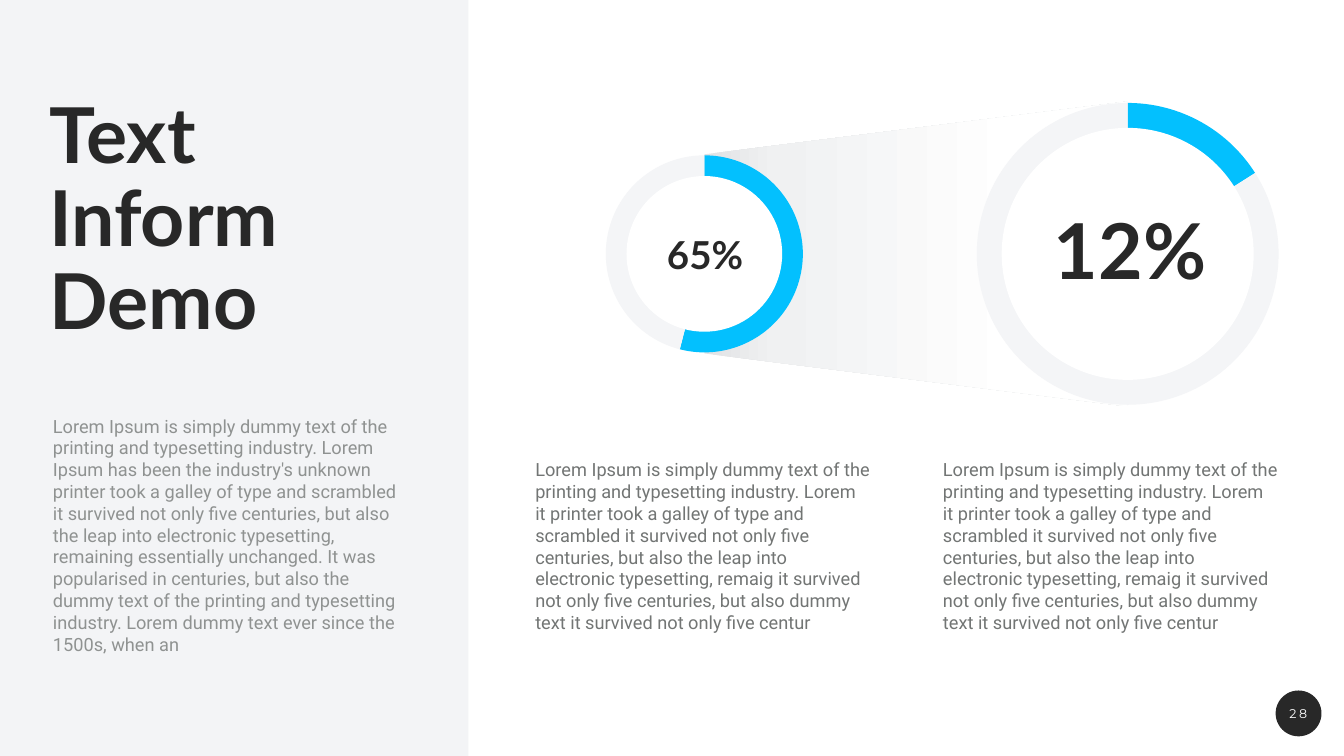
"""Build a slide with a side panel and two linked percentage rings."""
from dataclasses import dataclass

from lxml.etree import SubElement as Sub
from pptx import Presentation
from pptx.chart.data import CategoryChartData as Data
from pptx.dml.color import RGBColor as Rgb
from pptx.enum.chart import XL_CHART_TYPE as Kind
from pptx.enum.shapes import MSO_SHAPE as Form
from pptx.enum.text import MSO_ANCHOR as Anchor, MSO_AUTO_SIZE as Fit, PP_ALIGN as Align
from pptx.oxml.ns import qn
from pptx.util import Pt

WIDE, HIGH = 1920, 1080
AXIS = 362.7
INK, GREY, SOFT, WHITE = "282828", "727574", "8F9291", "FFFFFF"
BLUE, TRACK, PANEL = "03C0FE", "F4F5F7", "F3F4F6"
FADE = ((0, "E1E2E4"), (17, "F0F1F2"), (74, WHITE))

INTRO = (
    "Lorem Ipsum is simply dummy text of the printing and typesetting industry. "
    "Lorem Ipsum has been the industry's unknown printer took a galley of type and "
    "scrambled it survived not only five centuries, but also the leap into electronic "
    "typesetting, remaining essentially unchanged. It was popularised in centuries, "
    "but also the dummy text of the printing and typesetting industry. Lorem dummy "
    "text ever since the 1500s, when an"
)
NOTE = (
    "Lorem Ipsum is simply dummy text of the printing and typesetting industry. "
    "Lorem it printer took a galley of type and scrambled it survived not only five "
    "centuries, but also the leap into electronic typesetting, remaig it survived not "
    "only five centuries, but also dummy text it survived not only five centur"
)


@dataclass(frozen=True)
class Box:
    left: float
    top: float
    width: float
    height: float

    def spans(self) -> tuple:
        return Pt(self.left), Pt(self.top), Pt(self.width), Pt(self.height)


@dataclass(frozen=True)
class Ring:
    mid: float
    size: float
    hole: float
    share: int
    label: str
    font: int
    area: Box


RINGS = (
    Ring(1006.2, 284.4, 222.4, 54, "65%", 55, Box(947.5, 330.5, 119.5, 74.2)),
    Ring(1611, 435.6, 360, 16, "12%", 110, Box(1498.3, 293.8, 232.6, 141.1)),
)


def color(code: str) -> Rgb:
    return Rgb.from_string(code)


def square(mid: float, size: float) -> Box:
    return Box(mid - size / 2, AXIS - size / 2, size, size)


def draw(shapes, form: Form, box: Box, code: str) -> None:
    shape = shapes.add_shape(form, *box.spans())
    shape.shadow.inherit = False
    shape.fill.solid()
    shape.fill.fore_color.rgb = color(code)
    shape.line.fill.background()


def write(shape, text: str, *, size: int, font: str, code: str, bold: bool = False,
          align: Align = Align.LEFT, lead: float = 1.0, track: int = 0,
          anchor: Anchor = Anchor.TOP, wrap: bool = True, fit: Fit = Fit.NONE) -> None:
    frame = shape.text_frame
    frame.text = text
    frame.word_wrap, frame.auto_size, frame.vertical_anchor = wrap, fit, anchor
    frame.margin_left = frame.margin_right = Pt(2.88)
    frame.margin_top = frame.margin_bottom = Pt(2.88)
    for para in frame.paragraphs:
        para.alignment, para.line_spacing = align, lead
        for run in para.runs:
            run.font.size, run.font.name, run.font.bold = Pt(size), font, bold
            run.font.color.rgb = color(code)
    if track:
        for props in shape.element.iter(qn("a:rPr")):
            props.set("spc", str(track))


def label(shapes, box: Box, text: str, **style) -> None:
    write(shapes.add_textbox(*box.spans()), text, **style)


def draw_beam(shapes, near: Ring, far: Ring) -> None:
    ends = [(ring.mid, AXIS + side * ring.size / 2)
            for ring, side in ((near, -1), (far, -1), (far, 1), (near, 1))]
    spots = [(Pt(x), Pt(y)) for x, y in ends]
    edge = shapes.build_freeform(*spots[0])
    edge.add_line_segments(spots[1:], close=True)
    beam = edge.convert_to_shape()
    beam.shadow.inherit = False
    beam.line.fill.background()
    beam.fill.gradient()
    beam.fill.gradient_angle = 0
    stops = next(beam.element.iter(qn("a:gsLst")))
    stops.clear()
    for spot, code in FADE:
        stop = Sub(stops, qn("a:gs"), pos=str(spot * 1000))
        Sub(stop, qn("a:srgbClr"), val=code)


def fill_plot(chart) -> None:
    plot = next(chart.element.iter(qn("c:plotArea")))
    for old in plot.findall(qn("c:layout")):
        plot.remove(old)
    layout = Sub(plot, qn("c:layout"))
    plot.insert(0, layout)
    manual = Sub(layout, qn("c:manualLayout"))
    rules = {"layoutTarget": "inner", "xMode": "edge", "yMode": "edge",
             "x": "0.005", "y": "0.005", "w": "0.99", "h": "0.99"}
    for name, value in rules.items():
        Sub(manual, qn(f"c:{name}"), val=value)


def draw_ring(shapes, ring: Ring) -> None:
    group = shapes.add_group_shape().shapes
    data = Data()
    data.categories = ("1", "2")
    data.add_series("Series 1", (ring.share, 100 - ring.share))
    box = square(ring.mid, ring.size)
    chart = group.add_chart(Kind.PIE, *box.spans(), data).chart
    chart.has_legend = chart.has_title = False
    chart.font.size, chart.font.name = Pt(10), "Montserrat"
    chart.font.color.rgb = color(GREY)
    pie = chart.plots[0]
    pie.vary_by_categories = False
    series = pie.series[0]
    for part, code in ((series, BLUE), (series.points[0], BLUE), (series.points[1], TRACK)):
        part.format.fill.solid()
        part.format.fill.fore_color.rgb = color(code)
        part.format.line.fill.background()
    fill_plot(chart)
    draw(group, Form.OVAL, square(ring.mid, ring.hole), WHITE)
    label(shapes, ring.area, ring.label, size=ring.font, font="Lato", code=INK, bold=True,
          align=Align.CENTER, lead=0.9, anchor=Anchor.MIDDLE, wrap=False,
          fit=Fit.SHAPE_TO_FIT_TEXT)


def main() -> None:
    deck = Presentation()
    deck.slide_width, deck.slide_height = Pt(WIDE), Pt(HIGH)
    slide = deck.slides.add_slide(deck.slide_layouts[5])
    shapes = slide.shapes
    draw(shapes, Form.OVAL, Box(1822.3, 986.4, 65.5, 65.5), INK)
    draw_beam(shapes, *RINGS)
    draw(shapes, Form.RECTANGLE, Box(0, 0, 669, HIGH), PANEL)

    title = shapes.title
    title.element.getparent().append(title.element)
    title.left, title.top, title.width, title.height = Box(67.7, 135.4, 544.3, 396).spans()
    write(title, "Text\nInform\nDemo", size=110, font="Lato", code=INK, bold=True, lead=0.9)

    label(shapes, Box(72.7, 589.7, 513.4, 392.4), INTRO, size=26, font="Roboto", code=SOFT)
    label(shapes, Box(1831, 1005, 47.5, 28), "28", size=18, font="Montserrat", code=WHITE,
          align=Align.CENTER, track=360, fit=Fit.SHAPE_TO_FIT_TEXT)
    for ring in RINGS:
        draw_ring(shapes, ring)
    for left in (761.8, 1344.2):
        label(shapes, Box(left, 652.3, 484.6, 258.5), NOTE, size=26, font="Roboto", code=GREY)
    deck.save("out.pptx")


if __name__ == "__main__":
    main()
